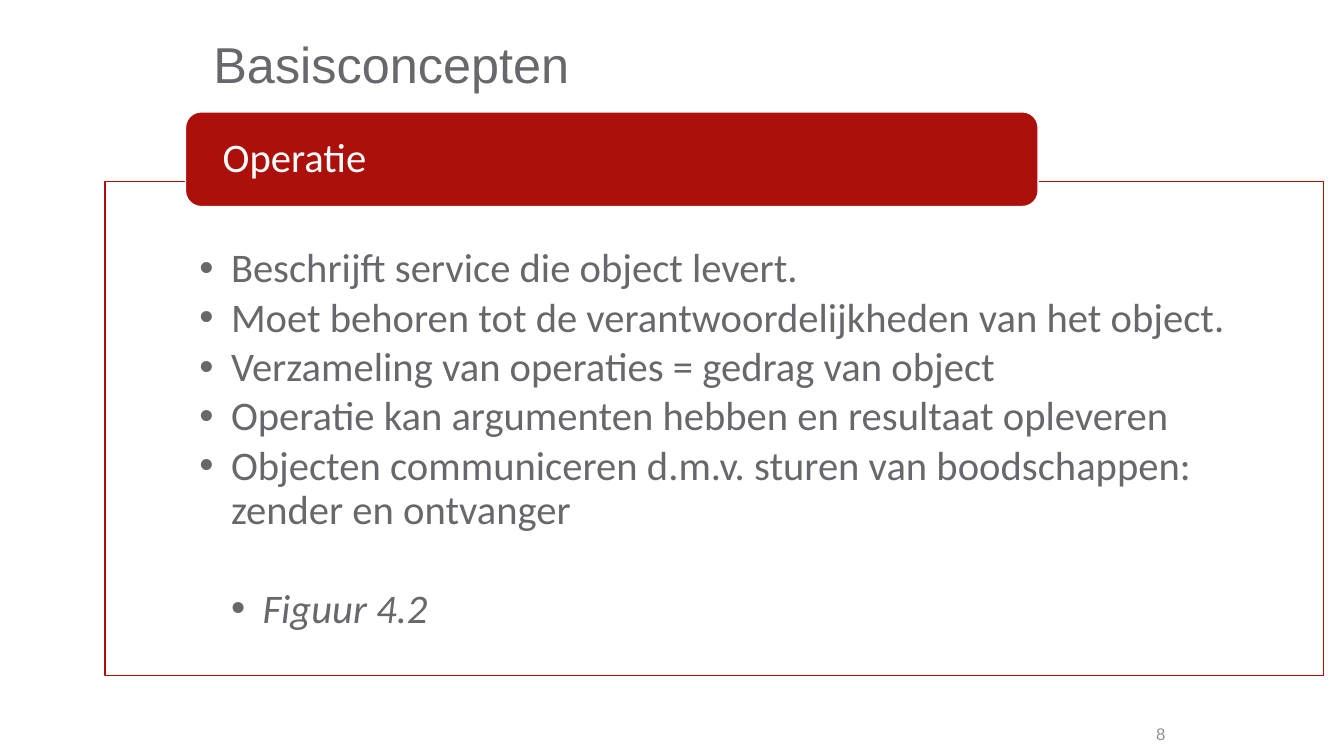
import pptx
import pptx.util
import pptx.dml.color
import pptx.enum.shapes
import pptx.enum.text
import pptx.oxml.ns
import lxml.etree

Pt = pptx.util.Pt
RGBColor = pptx.dml.color.RGBColor
MSO_SHAPE = pptx.enum.shapes.MSO_SHAPE
PP_ALIGN = pptx.enum.text.PP_ALIGN
MSO_ANCHOR = pptx.enum.text.MSO_ANCHOR
qn = pptx.oxml.ns.qn

RED = RGBColor(0xAD, 0x0F, 0x0A)
WHITE = RGBColor(0xFF, 0xFF, 0xFF)
TEXT_GRAY = RGBColor(0x68, 0x67, 0x6C)
NUMBER_GRAY = RGBColor(0x92, 0x92, 0x92)


def set_frame(sp, anchor, left, top, right, bottom):
    tf = sp.text_frame
    frame_format = {
        "word_wrap": True, "vertical_anchor": anchor,
        "margin_left": Pt(left), "margin_top": Pt(top),
        "margin_right": Pt(right), "margin_bottom": Pt(bottom),
    }
    for name, value in frame_format.items():
        setattr(tf, name, value)
    return tf


def write(p, text, font, size, color, align=PP_ALIGN.LEFT, italic=False):
    p.alignment = align
    r = p.add_run()
    r.text = text
    for name, value in {"name": font, "size": Pt(size), "italic": italic}.items():
        setattr(r.font, name, value)
    r.font.color.rgb = color


prs = pptx.Presentation()
prs.slide_width = Pt(960)
prs.slide_height = Pt(540)
s = prs.slides.add_slide(prs.slide_layouts[6])

title = s.shapes.add_textbox(Pt(145.4), Pt(0), Pt(686.2), Pt(90))
tf = set_frame(title, MSO_ANCHOR.MIDDLE, 7.2, 3.6, 7.2, 3.6)
write(tf.paragraphs[0], "Basisconcepten", "Arial", 36, TEXT_GRAY)

number = s.shapes.add_textbox(Pt(671.8), Pt(509.8), Pt(167.8), Pt(28.8))
tf = set_frame(number, MSO_ANCHOR.MIDDLE, 7.2, 3.6, 7.2, 3.6)
write(tf.paragraphs[0], "8", "Arial", 12, NUMBER_GRAY, PP_ALIGN.RIGHT)

panel = s.shapes.add_shape(MSO_SHAPE.RECTANGLE, Pt(74.9), Pt(129.6), Pt(870.5), Pt(352.8))
header = s.shapes.add_shape(MSO_SHAPE.ROUNDED_RECTANGLE, Pt(132.5), Pt(79.9), Pt(609.1), Pt(67.7))
for sp, fill, line in [(panel, WHITE, RED), (header, RED, WHITE)]:
    sp.shadow.inherit = False
    sp.fill.solid()
    sp.fill.fore_color.rgb = fill
    sp.line.color.rgb = line
    sp.line.width = Pt(1)

panel_color = panel.fill._xPr.find(qn("a:solidFill"))[0]
lxml.etree.SubElement(panel_color, qn("a:alpha"), val="90000")

tf = set_frame(header, MSO_ANCHOR.MIDDLE, 23.3, 0, 23.3, 0)
p = tf.paragraphs[0]
p.line_spacing = 0.9
write(p, "Operatie", "Calibri", 29, WHITE)

bullets = [
    ("Beschrijft service die object levert.", 1, 0, False),
    ("Moet behoren tot de verantwoordelijkheden van het object.", 1, 0, False),
    ("Verzameling van operaties = gedrag van object", 1, 0, False),
    ("Operatie kan argumenten hebben en resultaat opleveren", 1, 0, False),
    ("Objecten communiceren d.m.v. sturen van boodschappen: zender en ontvanger", 1, 0, False),
    ("Figuur 4.2", 2, 35.7, True),
]
indent = Pt(22.5)
tf = set_frame(panel, MSO_ANCHOR.TOP, 67.6, 47.5, 67.6, 16.6)
for i, (text, level, before, italic) in enumerate(bullets):
    p = tf.paragraphs[0] if i == 0 else tf.add_paragraph()
    for name, value in {"level": level, "line_spacing": 0.9,
                        "space_before": Pt(before), "space_after": Pt(3.9)}.items():
        setattr(p, name, value)
    pPr = p._p.get_or_add_pPr()
    pPr.set("marL", str(level * indent))
    pPr.set("indent", str(-indent))
    lxml.etree.SubElement(pPr, qn("a:buFont"), typeface="Arial")
    lxml.etree.SubElement(pPr, qn("a:buChar"), char="•")
    write(p, text, "Calibri", 29, TEXT_GRAY, italic=italic)

prs.save("out.pptx")
